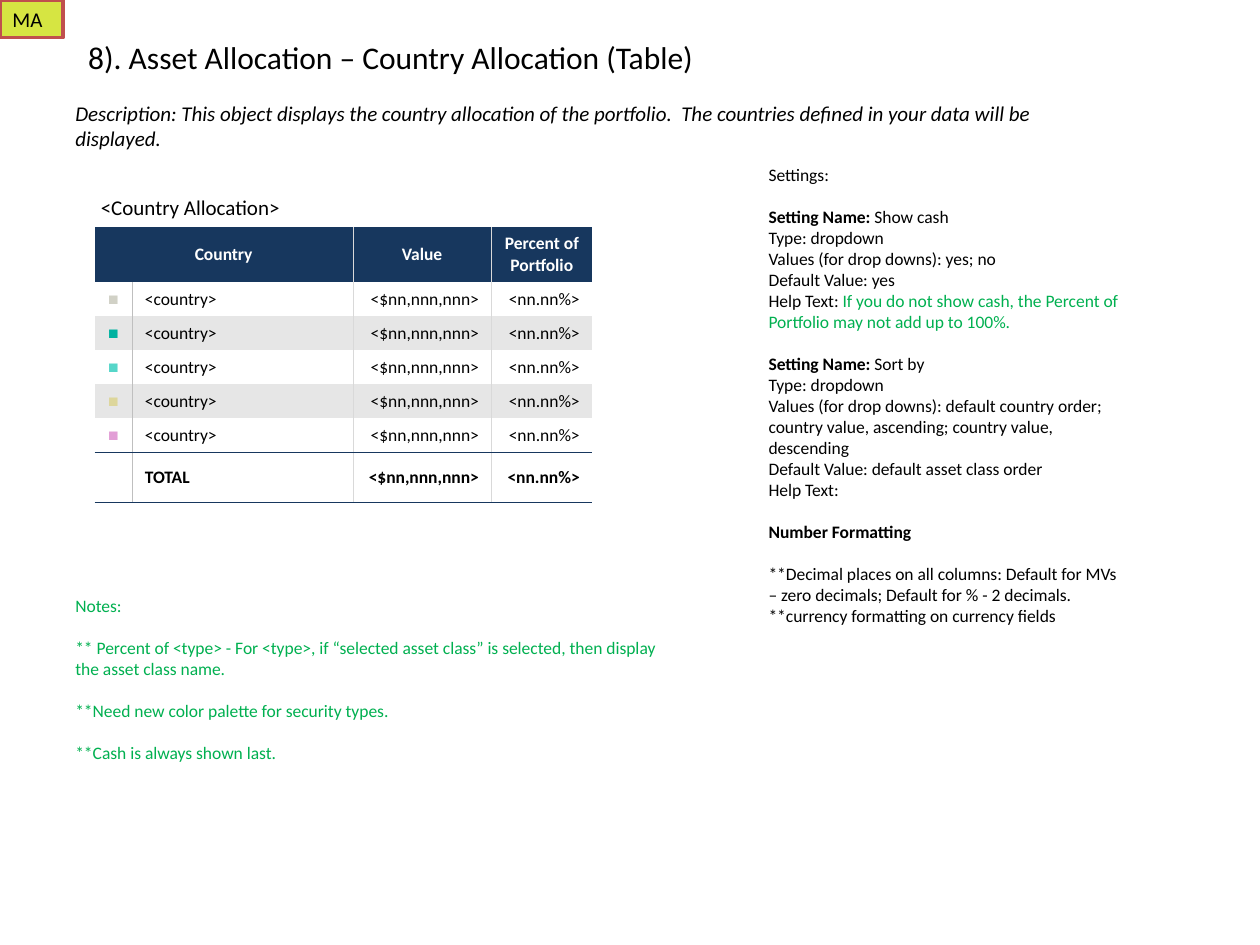
from pptx import Presentation
from pptx import util as u
from pptx.dml.color import RGBColor
from pptx.enum import shapes, text
from pptx.oxml.ns import qn
from lxml import etree

PX = 9144  # 100 px to the inch
BLACK, WHITE, GREEN, NAVY = "000000", "FFFFFF", "00B050", "17375E"
STRIPE, RULE, KEY_RULE = "E6E6E6", "D9D9D9", "BFBFBF"
NO_STYLE = "{2D5ABB26-0587-4C30-8999-92F81FD0307C}"
LEFT, CENTER, RIGHT = text.PP_ALIGN.LEFT, text.PP_ALIGN.CENTER, text.PP_ALIGN.RIGHT
MIDDLE, BOTTOM = text.MSO_ANCHOR.MIDDLE, text.MSO_ANCHOR.BOTTOM
BOLD = {"bold": True}


def px(n):
    return u.Emu(n * PX)


def rgb(hex_color):
    return RGBColor.from_string(hex_color)


def set_attrs(obj, values):
    for name, value in values.items():
        setattr(obj, name, value)


def place(sp, box):
    set_attrs(sp, dict(zip(("left", "top", "width", "height"), map(px, box))))


def add_run(p, words, size=10, color=BLACK, name="Calibri", **fmt):
    r = p.add_run()
    r.text = words
    set_attrs(r.font, {"size": u.Pt(size), "name": name, **fmt})
    r.font.color.rgb = rgb(color)


def write(tf, paragraphs, align=LEFT, **fmt):
    """Each paragraph is (points before, [(words, run format), ...])."""
    for i, (before, runs) in enumerate(paragraphs):
        p = tf.add_paragraph() if i else tf.paragraphs[0]
        set_attrs(p, {"alignment": align, "space_before": u.Pt(before)})
        for words, run_fmt in runs:
            add_run(p, words, **{**fmt, **run_fmt})


def format_frame(tf, **values):
    set_attrs(tf, {"word_wrap": True, "auto_size": text.MSO_AUTO_SIZE.SHAPE_TO_FIT_TEXT,
                   "vertical_anchor": text.MSO_ANCHOR.TOP, **values})


def add_title(s, box):
    sp = s.shapes.title
    place(sp, box)
    format_frame(sp.text_frame, word_wrap=False)
    write(sp.text_frame, [(0, [("8). Asset Allocation – Country Allocation (Table)", {})])], size=18)


def add_text(s, box, paragraphs, frame, **fmt):
    sp = s.shapes.add_textbox(*map(px, box))
    format_frame(sp.text_frame, **frame)
    write(sp.text_frame, paragraphs, **fmt)


def add_tag(s, box):
    sp = s.shapes.add_shape(shapes.MSO_SHAPE.RECTANGLE, *map(px, box))
    sp.shadow.inherit = False
    sp.fill.solid()
    sp.fill.fore_color.rgb = rgb("D6E542")
    sp.line.color.rgb = rgb("C0504D")
    sp.line.width = u.Pt(2)
    format_frame(sp.text_frame)
    write(sp.text_frame, [(0, [("MA", {})])], size=12)


def add_settings(s, box):
    def setting(name, values, default, help_text):
        return [(12, [("Setting Name:", BOLD), (f" {name}", {})]),
                (0, [("Type: dropdown", {})]),
                (0, [(f"Values (for drop downs): {values}", {})]),
                (0, [(f"Default Value: {default}", {})]),
                (0, [("Help Text: ", {}), (help_text, {"color": GREEN})] if help_text
                 else [("Help Text:", {})])]

    sp = s.placeholders[1]
    place(sp, box)
    format_frame(sp.text_frame)
    write(sp.text_frame, [
        (0, [("Settings:", {})]),
        *setting("Show cash", "yes; no", "yes",
                 "If you do not show cash, the Percent of Portfolio may not add up to 100%."),
        *setting("Sort by",
                 "default country order; country value, ascending; country value, descending",
                 "default asset class order", ""),
        (12, [("Number Formatting", BOLD)]),
        (12, [("**Decimal places on all columns: Default for MVs – zero decimals; "
               "Default for % - 2 decimals.", {})]),
        (0, [("**currency formatting on currency fields", {})]),
    ])
    # Plain lines in place of the template's bullets
    for p in sp.text_frame.paragraphs:
        pPr = p._p.get_or_add_pPr()
        pPr.set("marL", "0")
        pPr.set("indent", "0")
        etree.SubElement(pPr, qn("a:buNone"))


def add_borders(cell, borders):
    tcPr = cell._tc.get_or_add_tcPr()
    for side in "LRTB":
        ln = etree.SubElement(tcPr, qn(f"a:ln{side}"), w=str(u.Pt(0.23)))
        if side in borders:
            fill = etree.SubElement(ln, qn("a:solidFill"))
            etree.SubElement(fill, qn("a:srgbClr"), val=borders[side])
        else:
            etree.SubElement(ln, qn("a:noFill"))


def column_borders(col):
    rules = [KEY_RULE, RULE, RULE]  # between neighbouring columns
    borders = {"L": rules[col - 1]} if col else {}
    if col < len(rules):
        borders["R"] = rules[col]
    return borders


def fill_cell(cell, words, fill, borders, align, anchor=MIDDLE, **fmt):
    add_borders(cell, borders)
    if fill:
        cell.fill.solid()
        cell.fill.fore_color.rgb = rgb(fill)
    cell.vertical_anchor = anchor
    if words:
        write(cell.text_frame, [(0, [(words, {})])], align, **fmt)


def add_country_table(s, box):
    keys = ["D1D1C6", "00B2A0", "56D6C9", "DDD69B", "E29ED6"]
    widths, heights = [30, 175, 110, 80], [30, 44] + [27] * (len(keys) + 1)
    aligns = [CENTER, LEFT, RIGHT, RIGHT]
    frame = s.shapes.add_table(len(heights), len(widths), *map(px, box))
    table = frame.table
    set_attrs(table, {"first_row": False, "horz_banding": False})
    table._tbl.tblPr.find(qn("a:tableStyleId")).text = NO_STYLE
    for col, width in zip(table.columns, widths):
        col.width = px(width)
    for row, height in zip(table.rows, heights):
        row.height = px(height)

    # Caption row and column heads
    table.cell(0, 0).merge(table.cell(0, 3))
    table.cell(1, 0).merge(table.cell(1, 1))
    caption = table.cell(0, 0)
    caption.margin_left = px(5)
    fill_cell(caption, "<Country Allocation>", None, {}, LEFT, BOTTOM, size=12)
    for col, head in enumerate(["Country", "", "Value", "Percent of Portfolio"]):
        borders = {"R": RULE} if col == 0 else column_borders(col)
        fill_cell(table.cell(1, col), head, NAVY, borders, CENTER, color=WHITE, bold=True)

    # Country rows, then the total between two navy rules
    values = ["<$nn,nnn,nnn>", "<nn.nn%>"]
    total = len(heights) - 1
    for row in range(2, total + 1):
        last = row == total
        cells = ["", "TOTAL", *values] if last else ["■", "<country>", *values]
        for col, words in enumerate(cells):
            borders = column_borders(col)
            if last:
                borders["T"] = NAVY
            if row >= total - 1:
                borders["B"] = NAVY
            fmt = {"bold": last}
            if words == "■":
                fmt.update(name="Arial", color=keys[row - 2])
            fill_cell(table.cell(row, col), words, STRIPE if row % 2 and not last else WHITE,
                      borders, aligns[col], **fmt)


def main():
    prs = Presentation()
    prs.slide_width, prs.slide_height = px(1000), px(750)
    s = prs.slides.add_slide(prs.slide_layouts[1])
    add_country_table(s, (75, 150, 395, 234))
    add_title(s, (60, 25, 503, 40))
    # Description
    add_text(s, (50, 75, 850, 50), [(0, [(
        "Description: This object displays the country allocation of the portfolio.  "
        "The countries defined in your data will be displayed.", {})])],
        {"vertical_anchor": MIDDLE}, size=12, italic=True)
    add_settings(s, (600, 125, 300, 428))
    add_tag(s, (0, 0, 50, 30))
    # Notes
    notes = ["Notes:",
             "** Percent of <type> - For <type>, if “selected asset class” is selected, "
             "then display the asset class name.",
             "**Need new color palette for security types.",
             "**Cash is always shown last."]
    add_text(s, (50, 450, 500, 161), [(12 if i else 0, [(n, {})]) for i, n in enumerate(notes)],
             {"margin_top": px(22)}, color=GREEN)
    prs.save("out.pptx")


if __name__ == "__main__":
    main()
